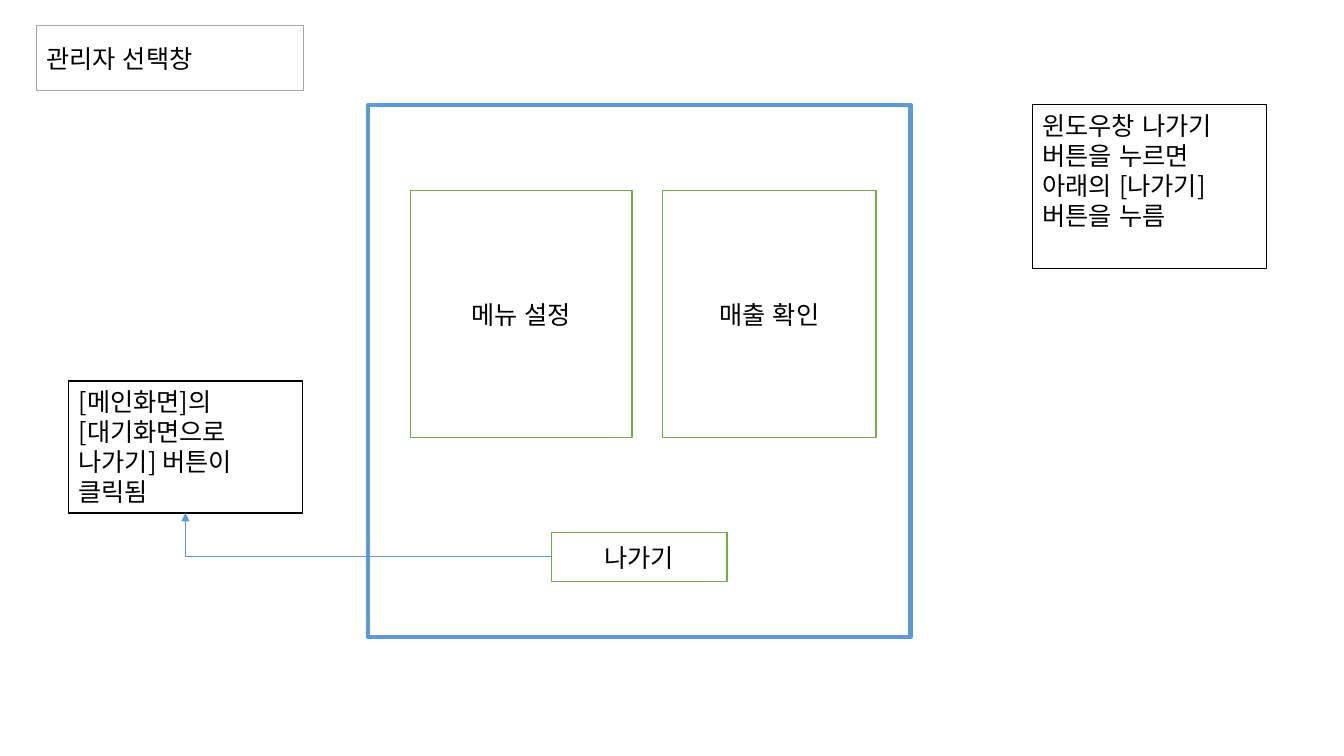
from lxml import etree
from pptx import Presentation
from pptx.dml.color import RGBColor
from pptx.enum.lang import MSO_LANGUAGE_ID
from pptx.enum.shapes import MSO_CONNECTOR, MSO_SHAPE
from pptx.enum.text import MSO_ANCHOR, MSO_AUTO_SIZE, PP_ALIGN
from pptx.oxml.ns import qn
from pptx.util import Inches, Pt

BLACK = RGBColor(0x00, 0x00, 0x00)
WHITE = RGBColor(0xFF, 0xFF, 0xFF)
GRAY = RGBColor(0xA5, 0xA5, 0xA5)
BLUE = RGBColor(0x5B, 0x9B, 0xD5)
GREEN = RGBColor(0x70, 0xAD, 0x47)

RECTANGLE = MSO_SHAPE.RECTANGLE
ELBOW = MSO_CONNECTOR.ELBOW
TOP, MIDDLE = MSO_ANCHOR.TOP, MSO_ANCHOR.MIDDLE
LEFT, CENTER = PP_ALIGN.LEFT, PP_ALIGN.CENTER
GROW, FIXED = MSO_AUTO_SIZE.SHAPE_TO_FIT_TEXT, MSO_AUTO_SIZE.NONE
KOREAN = MSO_LANGUAGE_ID.KOREAN
LEFT_SITE, BOTTOM_SITE = 1, 2


def write(sp, text, font="Noto Sans CJK KR", size=18, color=BLACK,
          align=LEFT, anchor=MIDDLE, fit=FIXED):
    tf = sp.text_frame
    tf.word_wrap = True
    tf.auto_size = fit
    tf.vertical_anchor = anchor
    p = tf.paragraphs[0]
    p.alignment = align
    r = p.add_run()
    r.text = text
    r.font.name = font
    r.font.size = Pt(size)
    r.font.color.rgb = color
    r.font.language_id = KOREAN
    etree.SubElement(r.font._element, qn("a:ea"), typeface=font)


class Wireframe:
    def __init__(self, slide):
        self.s = slide

    def box(self, left, top, width, height, line, weight=1, fill=WHITE):
        sp = self.s.shapes.add_shape(
            RECTANGLE, Inches(left), Inches(top), Inches(width), Inches(height))
        sp.shadow.inherit = False
        if fill is None:
            sp.fill.background()
        else:
            sp.fill.solid()
            sp.fill.fore_color.rgb = fill
        sp.line.color.rgb = line
        sp.line.width = Pt(weight)
        return sp

    def button(self, text, left, top, width, height):
        sp = self.box(left, top, width, height, GREEN)
        write(sp, text, align=CENTER)
        return sp

    def note(self, text, left, top, height):
        sp = self.box(left, top, 2.32, height, BLACK, 0.75, fill=None)
        write(sp, text, anchor=TOP, fit=GROW)
        return sp

    def arrow(self, start, start_site, end, end_site):
        cxn = self.s.shapes.add_connector(ELBOW, 0, 0, 0, 0)
        cxn.begin_connect(start, start_site)
        cxn.end_connect(end, end_site)
        cxn.line.color.rgb = BLUE
        cxn.line.width = Pt(0.75)
        spPr = cxn._element.spPr
        spPr.find(qn("a:prstGeom")).set("prst", "bentConnector2")
        etree.SubElement(spPr.find(qn("a:ln")), qn("a:tailEnd"), type="triangle")
        etree.SubElement(spPr, qn("a:effectLst"))


prs = Presentation()
prs.slide_width, prs.slide_height = Inches(13.33), Inches(7.5)
frame = Wireframe(prs.slides.add_slide(prs.slide_layouts[6]))

exit_note = frame.note("[메인화면]의 [대기화면으로 나가기] 버튼이 클릭됨", 0.68, 3.78, 1.31)
title = frame.box(0.36, 0.25, 2.65, 0.65, GRAY)
write(title, "관리자 선택창")
frame.box(3.65, 1.04, 5.38, 5.28, BLUE, 3)
frame.button("메뉴 설정", 4.07, 1.89, 2.2, 2.45)
frame.button("매출 확인", 6.57, 1.89, 2.12, 2.45)
exit_button = frame.button("나가기", 5.47, 5.28, 1.74, 0.49)
frame.arrow(exit_button, LEFT_SITE, exit_note, BOTTOM_SITE)
frame.note("윈도우창 나가기 버튼을 누르면 아래의 [나가기]버튼을 누름", 10.24, 1.04, 1.62)

prs.save("out.pptx")
